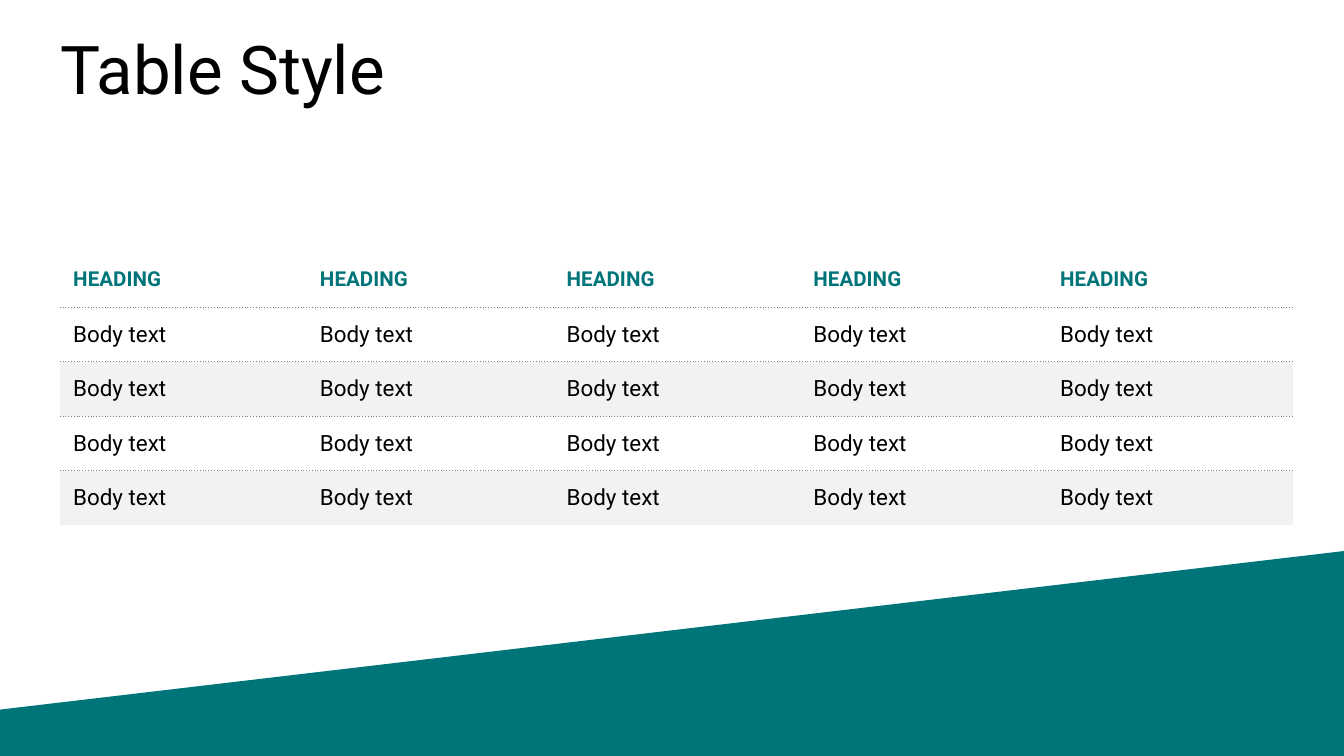
from dataclasses import dataclass
from typing import Any

from lxml import etree
from pptx import Presentation
from pptx import util as u
from pptx.dml import color
from pptx.enum import text
from pptx.oxml import ns

TEAL, BLACK, GRAY, PALE = "007579", "000000", "808080", "F2F2F2"
FONT = "Roboto"
COLUMNS, BODY_ROWS = 5, 4
NO_STYLE = "{2D5ABB26-0587-4C30-8999-92F81FD0307C}"
WEDGE = [(-0.03, 5.64), (10.03, 5.65), (10, 4.1), (0, 5.28)]
MARGINS = {
    "margin_left": u.Inches(0.1),
    "margin_right": u.Inches(0.1),
    "margin_top": u.Inches(0.04),
    "margin_bottom": u.Inches(0.04),
    "vertical_anchor": text.MSO_ANCHOR.MIDDLE,
}


@dataclass(frozen=True)
class TextStyle:
    size: float
    color: str
    bold: bool = False


@dataclass(frozen=True)
class TableRow:
    label: str
    style: TextStyle
    fill: str | None = None
    ruled: bool = True


def rgb(value: str) -> color.RGBColor:
    return color.RGBColor.from_string(value)


def apply(target: Any, values: dict[str, Any]) -> None:
    for name, value in values.items():
        setattr(target, name, value)


def write(para: Any, words: str, style: TextStyle) -> None:
    span = para.add_run()
    span.text = words
    apply(span.font, {"name": FONT, "size": u.Pt(style.size), "bold": style.bold})
    span.font.color.rgb = rgb(style.color)


def rule_below(cell: Any) -> None:
    line = etree.Element(ns.qn("a:lnB"), w=str(u.Pt(0.5)))
    fill = etree.SubElement(line, ns.qn("a:solidFill"))
    etree.SubElement(fill, ns.qn("a:srgbClr"), val=GRAY)
    etree.SubElement(line, ns.qn("a:prstDash"), val="sysDot")
    cell._tc.get_or_add_tcPr().insert(0, line)


def draw_wedge(page: Any) -> None:
    points = [(u.Inches(x), u.Inches(y)) for x, y in WEDGE]
    builder = page.shapes.build_freeform(*points[0])
    builder.add_line_segments(points[1:], close=True)
    wedge = builder.convert_to_shape()
    wedge.shadow.inherit = False
    wedge.fill.solid()
    wedge.fill.fore_color.rgb = rgb(TEAL)
    wedge.line.fill.background()


def draw_title(page: Any) -> None:
    box = page.shapes.add_textbox(u.Inches(0.35), u.Inches(0.27), u.Inches(9.27), u.Inches(0.67))
    apply(box.text_frame, {"word_wrap": True, "vertical_anchor": text.MSO_ANCHOR.TOP})
    para = box.text_frame.paragraphs[0]
    para.line_spacing = u.Pt(35)
    write(para, "Table Style", TextStyle(36, BLACK))


def draw_cell(cell: Any, row: TableRow) -> None:
    apply(cell, MARGINS)
    write(cell.text_frame.paragraphs[0], row.label, row.style)
    if row.fill:
        cell.fill.solid()
        cell.fill.fore_color.rgb = rgb(row.fill)
    else:
        cell.fill.background()
    if row.ruled:
        rule_below(cell)


def draw_table(page: Any, rows: list[TableRow]) -> None:
    frame = page.shapes.add_table(
        len(rows), COLUMNS, u.Inches(0.445), u.Inches(1.88), u.Inches(9.18), u.Inches(2.03)
    )
    table = frame.table
    apply(table, {"first_row": False, "horz_banding": False})
    table._tbl.tblPr.find(ns.qn("a:tableStyleId")).text = NO_STYLE
    for table_row, row in zip(table.rows, rows):
        for cell in table_row.cells:
            draw_cell(cell, row)


def main() -> None:
    deck = Presentation()
    width = u.Inches(10)
    apply(deck, {"slide_width": width, "slide_height": width * 9 // 16})
    page = deck.slides.add_slide(deck.slide_layouts[6])
    heading = TableRow("HEADING", TextStyle(11, TEAL, bold=True))
    body = [
        TableRow("Body text", TextStyle(12, BLACK), PALE if index % 2 else None, index < BODY_ROWS - 1)
        for index in range(BODY_ROWS)
    ]
    draw_wedge(page)
    draw_title(page)
    draw_table(page, [heading, *body])
    deck.save("out.pptx")


if __name__ == "__main__":
    main()
